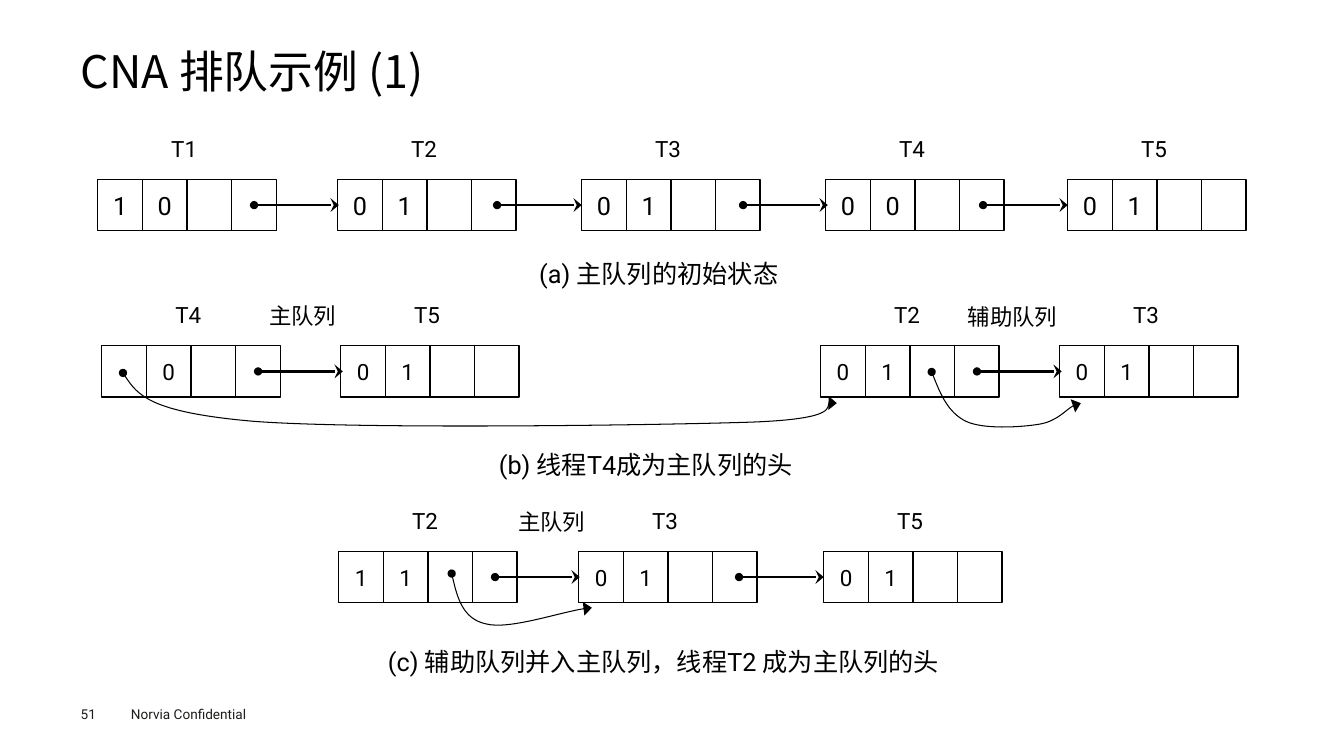
from dataclasses import dataclass
from typing import Optional

from lxml import etree
from pptx import Presentation
from pptx import util as u
from pptx.dml.color import RGBColor
from pptx.enum import shapes, text
from pptx.oxml import ns

BLACK = RGBColor(0x00, 0x00, 0x00)
FOOTER_INK = RGBColor(0x1D, 0x1D, 0x1B)
LATIN_FONT = "Roboto"
HAN_FONT = "Noto Sans CJK SC"

NODE_WIDTH = 1.77
CELL_COUNT = 4
CELL_WIDTH = NODE_WIDTH / CELL_COUNT
CELL_HEIGHT = 0.51
LINK_LENGTH = 0.84
NAME_LEFT, NAME_RISE = 0.63, 0.49


@dataclass(frozen=True)
class Node:
    name: str
    left: float
    values: str
    link_left: Optional[float] = None


@dataclass(frozen=True)
class Queue:
    top: float
    value_size: float
    nodes: tuple[Node, ...]


@dataclass(frozen=True)
class Label:
    words: str
    left: float
    top: float
    width: float
    height: float = 0.37
    size: float = 16


QUEUES = (
    Queue(1.78, 18, (
        Node("T1", 0.97, "10", 2.52),
        Node("T2", 3.35, "01", 4.93),
        Node("T3", 5.77, "01", 7.37),
        Node("T4", 8.19, "00", 9.75),
        Node("T5", 10.59, "01"),
    )),
    Queue(3.43, 16, (
        Node("T4", 1.01, " 0", 2.56),
        Node("T5", 3.38, "01"),
        Node("T2", 8.14, "01", 9.69),
        Node("T3", 10.51, "01"),
    )),
    Queue(5.47, 16, (
        Node("T2", 3.36, "11", 4.91),
        Node("T3", 5.74, "01", 7.33),
        Node("T5", 8.17, "01"),
    )),
)

LABELS = (
    Label("(a) 主队列的初始状态", 5.25, 2.51, 2.76, 0.4, 18),
    Label("(b) 线程T4成为主队列的头", 4.85, 4.41, 3.5, 0.4, 18),
    Label("(c) 辅助队列并入主队列，线程T2 成为主队列的头", 3.75, 6.36, 6.2, 0.4, 18),
    Label("主队列", 2.57, 2.95, 0.96),
    Label("辅助队列", 9.5, 2.96, 1.23),
    Label("主队列", 5.04, 4.99, 0.96),
)

CURVES = (
    ((1.22, 3.7), (1.35, 3.9), (1.48, 4.09), (2.51, 4.18), (3.54, 4.26),
     (6.43, 4.22), (7.4, 4.19), (8.36, 4.16), (8.14, 3.93), (8.3, 4)),
    ((9.24, 3.69), (9.32, 3.89), (9.4, 4.09), (9.58, 4.18), (9.75, 4.26),
     (10.11, 4.24), (10.3, 4.21), (10.49, 4.18), (10.62, 4), (10.72, 4)),
    ((4.48, 5.69), (4.53, 5.91), (4.59, 6.14), (4.82, 6.19), (5.05, 6.25),
     (5.65, 6.04), (5.87, 6.03)),
)


def write(shape, words: str, *, size: float, font: str = LATIN_FONT,
          color: RGBColor = BLACK, align=text.PP_ALIGN.LEFT,
          anchor=text.MSO_ANCHOR.MIDDLE, inset: Optional[float] = None,
          spacing: float = 1.0) -> None:
    frame = shape.text_frame
    frame.word_wrap = True
    frame.vertical_anchor = anchor
    if inset is not None:
        frame.margin_left = frame.margin_right = u.Inches(inset)
        frame.margin_top = frame.margin_bottom = u.Inches(inset)
    para = frame.paragraphs[0]
    para.alignment = align
    para.line_spacing = spacing
    span = para.add_run()
    span.text = words
    span.font.size = u.Pt(size)
    span.font.name = font
    span.font.color.rgb = color
    han = etree.SubElement(span.font._element, ns.qn("a:ea"))
    han.set("typeface", HAN_FONT)


def add_text(page, words: str, left: float, top: float, width: float,
             height: float, **style) -> None:
    box = page.shapes.add_textbox(*map(u.Inches, (left, top, width, height)))
    write(box, words, **style)


def style_arrow(arrow, weight: float, tail: str) -> None:
    arrow.line.color.rgb = BLACK
    arrow.line.width = u.Pt(weight)
    outline = arrow.line._get_or_add_ln()
    for tag, kind, width in (("a:headEnd", "oval", "med"),
                             ("a:tailEnd", tail, "lg")):
        end = etree.SubElement(outline, ns.qn(tag))
        end.set("type", kind)
        end.set("w", width)


def add_link(page, left: float, middle: float) -> None:
    link = page.shapes.add_connector(
        shapes.MSO_CONNECTOR.STRAIGHT,
        *map(u.Inches, (left, middle, left + LINK_LENGTH, middle)))
    style_arrow(link, 1.75, "stealth")
    etree.SubElement(link._element.spPr, ns.qn("a:effectLst"))


def add_curve(page, points: tuple[tuple[float, float], ...]) -> None:
    start, *controls = [(u.Inches(x), u.Inches(y)) for x, y in points]
    builder = page.shapes.build_freeform(*start)
    builder.add_line_segments(controls, close=False)
    curve = builder.convert_to_shape()
    curve.shadow.inherit = False
    curve.fill.background()
    style_arrow(curve, 0.75, "triangle")
    steps = list(curve._element.iter(ns.qn("a:lnTo")))
    outline = steps[0].getparent()
    for first in range(0, len(steps), 3):
        bend = etree.SubElement(outline, ns.qn("a:cubicBezTo"))
        for step in steps[first:first + 3]:
            bend.append(step[0])
            outline.remove(step)


def add_node(page, node: Node, queue: Queue) -> None:
    for index, value in enumerate(node.values.ljust(CELL_COUNT)):
        cell = page.shapes.add_shape(
            shapes.MSO_SHAPE.RECTANGLE,
            u.Inches(node.left + index * CELL_WIDTH), u.Inches(queue.top),
            u.Inches(CELL_WIDTH), u.Inches(CELL_HEIGHT))
        cell.shadow.inherit = False
        cell.fill.background()
        cell.line.color.rgb = BLACK
        cell.line.width = u.Pt(1)
        if value.strip():
            write(cell, value, size=queue.value_size, align=text.PP_ALIGN.CENTER)
    add_text(page, node.name, node.left + NAME_LEFT, queue.top - NAME_RISE,
             0.6, 0.37, size=16)
    if node.link_left is not None:
        add_link(page, node.link_left, queue.top + CELL_HEIGHT / 2)


def main() -> None:
    deck = Presentation()
    deck.slide_width, deck.slide_height = u.Inches(13.33), u.Inches(7.5)
    page = deck.slides.add_slide(deck.slide_layouts.get_by_name("Title Only"))

    title = page.shapes.title
    title.left, title.top = u.Inches(0.8), u.Inches(0.49)
    title.width, title.height = u.Inches(11.73), u.Inches(0.54)
    write(title, "CNA 排队示例 (1)", size=32, font=HAN_FONT, inset=0,
          anchor=text.MSO_ANCHOR.TOP, spacing=0.9)

    for queue in QUEUES:
        for node in queue.nodes:
            add_node(page, node, queue)
    for label in LABELS:
        add_text(page, label.words, label.left, label.top, label.width,
                 label.height, size=label.size)
    for points in CURVES:
        add_curve(page, points)

    footer = dict(size=9.7, color=FOOTER_INK, anchor=text.MSO_ANCHOR.TOP)
    add_text(page, "51", 0.8, 7, 0.55, 0.16, inset=0, **footer)
    add_text(page, "Norvia Confidential", 1.2, 6.95, 1.6, 0.27, **footer)
    deck.save("out.pptx")


if __name__ == "__main__":
    main()
